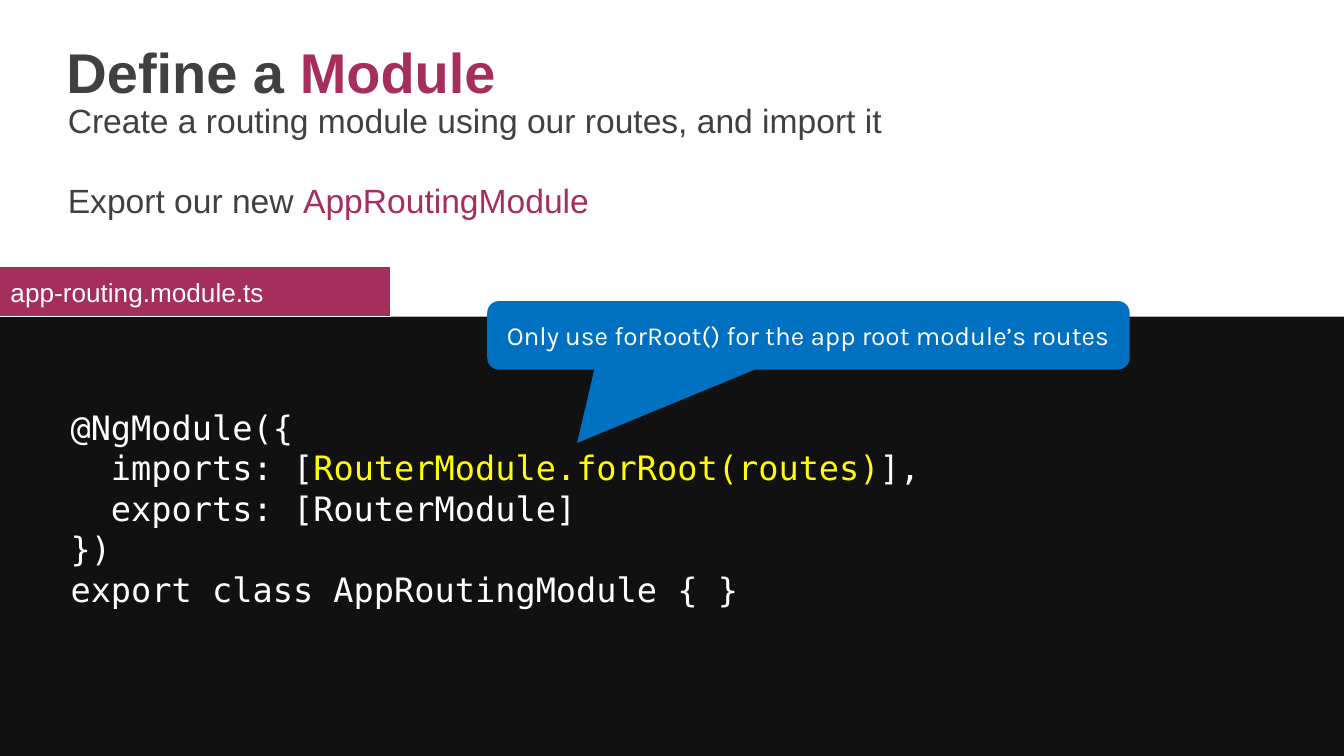
from pptx import Presentation
from pptx.dml.color import RGBColor
from pptx.enum.shapes import MSO_SHAPE
from pptx.enum.text import MSO_ANCHOR, PP_ALIGN
from pptx.util import Emu, Pt

RECT = MSO_SHAPE.RECTANGLE
CALLOUT = MSO_SHAPE.ROUNDED_RECTANGULAR_CALLOUT
TOP, MIDDLE, BOTTOM = MSO_ANCHOR.TOP, MSO_ANCHOR.MIDDLE, MSO_ANCHOR.BOTTOM
LEFT, CENTER = PP_ALIGN.LEFT, PP_ALIGN.CENTER

PX = 4572
COLORS = {
    "white": "FFFFFF",
    "panel": "111111",
    "text": "404040",
    "accent": "A62E5C",
    "callout": "0070C0",
    "highlight": "FFFF00",
}


def px(n):
    return Emu(n * PX)


def rgb(name):
    return RGBColor.from_string(COLORS[name])


def write(tf, lines, font="Arial", size=18, color="text", bold=False,
          align=LEFT, anchor=MIDDLE, insets=(0, 0, 0, 0), spacing=None, before=0):
    tf.word_wrap = True
    tf.vertical_anchor = anchor
    tf.margin_left, tf.margin_top, tf.margin_right, tf.margin_bottom = map(px, insets)
    for i, line in enumerate(lines):
        p = tf.paragraphs[0] if i == 0 else tf.add_paragraph()
        p.alignment = align
        p.space_before = Pt(before if i else 0)
        if spacing:
            p.line_spacing = spacing
        for run in line:
            text, run_color = run if isinstance(run, tuple) else (run, color)
            r = p.add_run()
            r.text = text
            r.font.name = font
            r.font.size = Pt(size)
            r.font.bold = bold
            r.font.color.rgb = rgb(run_color)


class Deck:
    def __init__(self, width, height):
        self.prs = Presentation()
        self.prs.slide_width, self.prs.slide_height = px(width), px(height)
        self.s = self.prs.slides.add_slide(self.prs.slide_layouts[6])

    def text(self, box, lines, **style):
        sp = self.s.shapes.add_textbox(*map(px, box))
        write(sp.text_frame, lines, **style)

    def shape(self, kind, box, fill, lines, line=None, adjustments=(), **style):
        sp = self.s.shapes.add_shape(kind, *map(px, box))
        sp.shadow.inherit = False
        sp.fill.solid()
        sp.fill.fore_color.rgb = rgb(fill)
        if line:
            sp.line.color.rgb = rgb(line)
            sp.line.width = Pt(0.75)
        else:
            sp.line.fill.background()
        for i, value in enumerate(adjustments):
            sp.adjustments[i] = value
        write(sp.text_frame, lines, color="white", **style)


def main():
    deck = Deck(2000, 1125)
    code = [
        ["@NgModule({"],
        ["  imports: [", ("RouterModule.forRoot(routes)", "highlight"), "],"],
        ["  exports: [RouterModule]"],
        ["})"],
        ["export class AppRoutingModule { }"],
    ]
    deck.shape(RECT, (0, 471, 2000, 658), "panel", code, font="DejaVu Sans Mono",
               anchor=BOTTOM, insets=(105, 60, 76, 223), spacing=Pt(21.7))
    deck.text((101, 140, 1788, 292),
              [["Create a routing module using our routes, and import it"],
               ["Export our new ", ("AppRoutingModule", "accent")]],
              anchor=TOP, spacing=1.15, before=18)
    deck.text((99, 33, 1788, 162), [["Define a ", ("Module", "accent")]],
              size=30, bold=True, insets=(0, 8, 14, 8), spacing=0.85)
    deck.shape(CALLOUT, (725, 448, 956, 102), "callout",
               [["Only use forRoot() for the app root module’s routes"]],
               adjustments=(-0.36, 1.57, 0.17), font="Karla", size=14,
               align=CENTER, insets=(14, 8, 14, 8))
    deck.shape(RECT, (-4, 397, 585, 74), "accent", [["app-routing.module.ts"]],
               line="white", size=14, insets=(20, 20, 20, 20))
    deck.prs.save("out.pptx")


if __name__ == "__main__":
    main()
